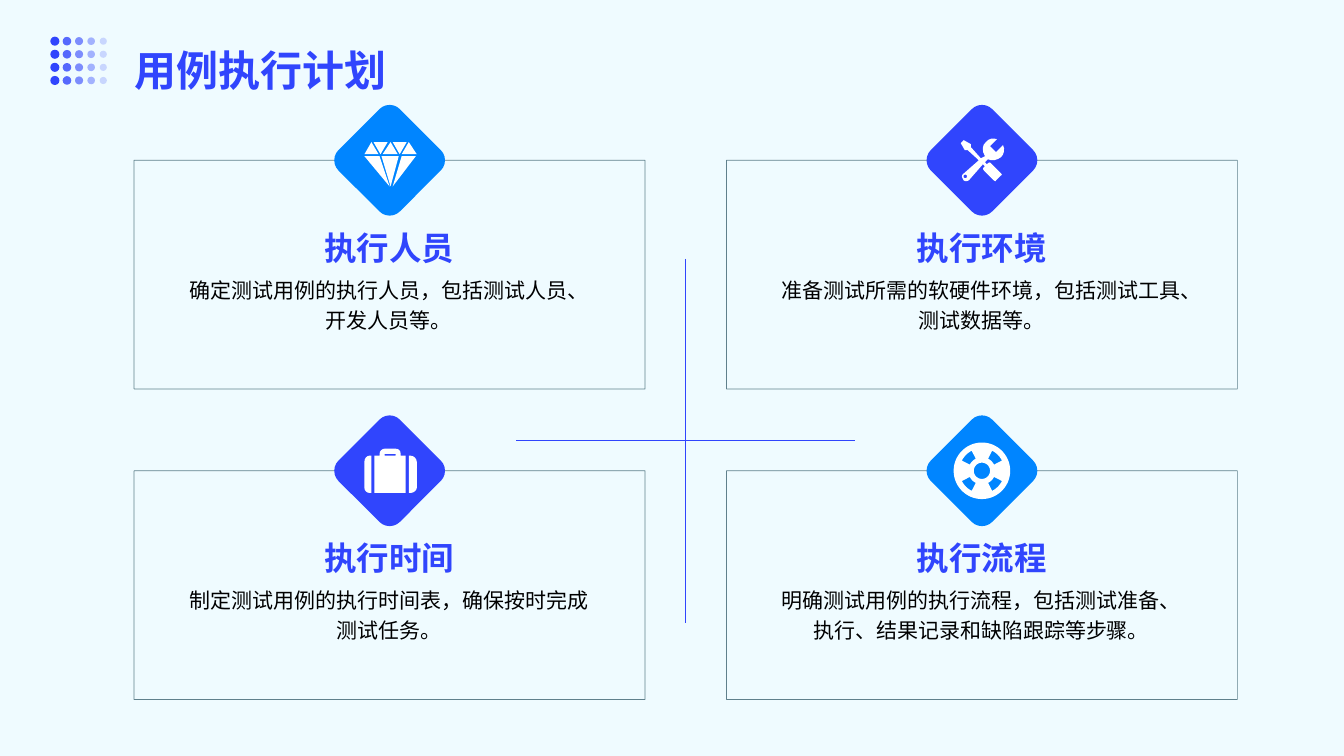
import math

import lxml.etree
import pptx
import pptx.dml.color
import pptx.enum.shapes
import pptx.enum.text
import pptx.oxml.ns
import pptx.util

Pt = pptx.util.Pt
RGBColor = pptx.dml.color.RGBColor
MSO_SHAPE = pptx.enum.shapes.MSO_SHAPE
PP_ALIGN = pptx.enum.text.PP_ALIGN
qn = pptx.oxml.ns.qn

PALE = RGBColor(0xEF, 0xFB, 0xFF)
INDIGO = RGBColor(0x30, 0x45, 0xFD)
AZURE = RGBColor(0x00, 0x85, 0xFF)
BORDER = RGBColor(0x00, 0x2F, 0x40)
WHITE = RGBColor(0xFF, 0xFF, 0xFF)
BLACK = RGBColor(0x00, 0x00, 0x00)
FONT = "Noto Sans CJK SC"


def write(sp, text, size, color, bold=False, align=PP_ALIGN.CENTER,
          spacing=1.2, margins=(8.64, 4.32, 8.64, 4.32)):
    tf = sp.text_frame
    tf.word_wrap = True
    tf.auto_size = pptx.enum.text.MSO_AUTO_SIZE.NONE
    tf.vertical_anchor = pptx.enum.text.MSO_ANCHOR.TOP
    tf.margin_left, tf.margin_top, tf.margin_right, tf.margin_bottom = map(Pt, margins)
    p = tf.paragraphs[0]
    p.alignment = align
    p.line_spacing = spacing
    r = p.add_run()
    r.text = text
    r.font.size = Pt(size)
    r.font.bold = bold
    r.font.color.rgb = color
    r.font.name = FONT
    lxml.etree.SubElement(r.font._element, qn("a:ea"), typeface=FONT)


def paint(sp, color, alpha=100, border=None):
    sp.shadow.inherit = False
    sp.fill.solid()
    sp.fill.fore_color.rgb = color
    if border is None:
        sp.line.fill.background()
    else:
        sp.line.color.rgb = border
        sp.line.width = Pt(0.5)
    if alpha < 100:
        for clr in sp._element.spPr.iter(qn("a:srgbClr")):
            lxml.etree.SubElement(clr, qn("a:alpha"), val=str(alpha * 1000))


gem = [
    [(-18, -2.9), (0, 18.7), (-7.2, -2.9)],
    [(-5.8, -2.9), (0.7, 18.7), (6.5, -2.9)],
    [(2.2, 18.7), (18.7, -2.9), (8.6, -2.9)],
    [(19.4, -4.3), (13.7, -13), (8.6, -4.3)],
    [(12.2, -13), (2.2, -13), (7.2, -4.3)],
    [(5.8, -4.3), (0.7, -13), (-5, -4.3)],
    [(-1.4, -13), (-11.5, -13), (-6.5, -4.3)],
    [(-13, -13), (-18, -4.3), (-7.9, -4.3)],
]
tools = [
    [(15.1, -10.8), (16.6, -7.9, 15.8, -4.3, 13.7, -2.2), (10.8, 0, 7.2, 0.7, 4.3, -0.7),
     (2.2, 1.4), (3.6, 2.9), (4.3, 2.2), (5, 1.4, 5.8, 1.4, 6.5, 2.2),
     (13.7, 9.4), (14.4, 10.1, 14.4, 10.8, 13.7, 10.8),
     (10.1, 14.4), (10.1, 15.1, 9.4, 15.1, 8.6, 14.4),
     (1.4, 7.2), (0.7, 6.5, 0.7, 5.8, 1.4, 5), (2.2, 4.3), (0.7, 2.9),
     (-9.4, 14.4), (-10.8, 15.1, -12.2, 15.1, -13, 14.4),
     (-13.7, 13), (-14.4, 12.2, -14.4, 10.8, -13.7, 10.1),
     (-2.2, 0), (-10.1, -7.2), (-12.2, -7.2), (-15.1, -12.2), (-13, -14.4),
     (-7.9, -11.5), (-7.9, -9.4), (-0.7, -1.4), (2.2, -2.9),
     (0, -6.5, 0, -10.8, 2.9, -13), (5, -15.8, 7.9, -15.8, 10.8, -15.1),
     (5.8, -10.1), (10.1, -5.8)],
    [(-10.8, 10.8), (-11.5, 10.1, -12.2, 10.1, -13, 10.8), (-13, 12.2),
     (-12.2, 13, -11.5, 13, -10.8, 12.2)],
]
suitcase = [
    [(7.9, -10.8), (11.5, -10.8), (11.5, 15.8), (-10.8, 15.8), (-10.8, -10.8),
     (-7.2, -10.8), (-7.2, -12.2), (-7.2, -14.4, -5, -15.8, -3.6, -15.8),
     (4.3, -15.8), (6.5, -15.8, 7.9, -14.4, 7.9, -12.2)],
    [(13.7, -10.8), (15.1, -10.8), (17.3, -10.8, 19.4, -8.6, 19.4, -6.5),
     (19.4, 12.2), (19.4, 13.7, 17.3, 15.8, 15.1, 15.8), (13.7, 15.8)],
    [(-13, -10.8), (-13, 15.8), (-14.4, 15.8), (-16.6, 15.8, -18, 13.7, -18, 12.2),
     (-18, -6.5), (-18, -8.6, -16.6, -10.8, -14.4, -10.8)],
    [(-3.6, -12.2), (-3.6, -10.8), (4.3, -10.8), (4.3, -12.2)],
]
lifebuoy = []
for radius in (20.2, 5.8):
    lifebuoy.append([(radius * math.cos(math.radians(a)), radius * math.sin(math.radians(a)))
                     for a in range(0, 360, 6)])
for start in (27, 117, 207, 297):
    arc = [math.radians(start + a) for a in range(0, 37, 6)]
    lifebuoy.append([(16.1 * math.cos(a), 16.1 * math.sin(a)) for a in arc]
                    + [(9.7 * math.cos(a), 9.7 * math.sin(a)) for a in reversed(arc)])

cards = [
    ("执行人员", "确定测试用例的执行人员，包括测试人员、开发人员等。", AZURE, gem),
    ("执行环境", "准备测试所需的软硬件环境，包括测试工具、测试数据等。", INDIGO, tools),
    ("执行时间", "制定测试用例的执行时间表，确保按时完成测试任务。", INDIGO, suitcase),
    ("执行流程", "明确测试用例的执行流程，包括测试准备、执行、结果记录和缺陷跟踪等步骤。", AZURE, lifebuoy),
]

prs = pptx.Presentation()
prs.slide_width = Pt(960)
prs.slide_height = Pt(540)
s = prs.slides.add_slide(prs.slide_layouts[5])
s.background.fill.solid()
s.background.fill.fore_color.rgb = PALE

title = s.shapes.title
title.left, title.top, title.width, title.height = Pt(86.4), Pt(7.2), Pt(787.7), Pt(72)
write(title, "用例执行计划", 30, INDIGO, bold=True, align=PP_ALIGN.LEFT,
      spacing=1.4, margins=(10, 10, 4.3, 10))

for row in range(4):
    for col in range(5):
        d = 6.5 - 0.36 * col
        dot = s.shapes.add_shape(MSO_SHAPE.OVAL, Pt(39.2 + 8.64 * col - d / 2),
                                 Pt(29.4 + 9.36 * row - d / 2), Pt(d), Pt(d))
        paint(dot, INDIGO, alpha=100 - 20 * col)

for x1, y1, x2, y2 in ((489.6, 185, 489.6, 445), (368.6, 314.6, 610.6, 314.6)):
    axis = s.shapes.add_connector(pptx.enum.shapes.MSO_CONNECTOR.STRAIGHT,
                                  Pt(x1), Pt(y1), Pt(x2), Pt(y2))
    axis.line.color.rgb = INDIGO
    axis.line.width = Pt(0.75)
    lxml.etree.SubElement(axis._element.spPr, qn("a:effectLst"))

for i, (heading, detail, color, icon) in enumerate(cards):
    x = 95.8 + 423.1 * (i % 2)
    y = 114.5 + 221.8 * (i // 2)
    cx = x + 182.5
    frame = s.shapes.add_shape(MSO_SHAPE.RECTANGLE, Pt(x), Pt(y), Pt(365), Pt(163.4))
    paint(frame, PALE, alpha=60, border=BORDER)
    sp = s.shapes.add_textbox(Pt(cx - 178), Pt(y + 38.2), Pt(355.7), Pt(44))
    write(sp, heading, 23.2, INDIGO, bold=True)
    sp = s.shapes.add_textbox(Pt(cx - 154.3), Pt(y + 75.6), Pt(307.4), Pt(55.4))
    write(sp, detail, 15, BLACK)
    badge = s.shapes.add_shape(MSO_SHAPE.ROUNDED_RECTANGLE, Pt(cx - 31), Pt(y - 31), Pt(62), Pt(62))
    badge.rotation = 45
    paint(badge, color)

    fb = None
    for outline in icon:
        pts = []
        for seg in outline:
            if len(seg) == 2:
                pts.append(seg)
                continue
            ctrl = (pts[-1], seg[:2], seg[2:4], seg[4:])
            for t in (0.25, 0.5, 0.75, 1):
                w = ((1 - t) ** 3, 3 * t * (1 - t) ** 2, 3 * t * t * (1 - t), t ** 3)
                pts.append(tuple(sum(k * c[n] for k, c in zip(w, ctrl)) for n in (0, 1)))
        pts = [(Pt(cx + px), Pt(y + py)) for px, py in pts]
        if fb is None:
            fb = s.shapes.build_freeform(*pts[0])
        else:
            fb.move_to(*pts[0])
        fb.add_line_segments(pts[1:], close=True)
    paint(fb.convert_to_shape(), WHITE)

prs.save("out.pptx")
